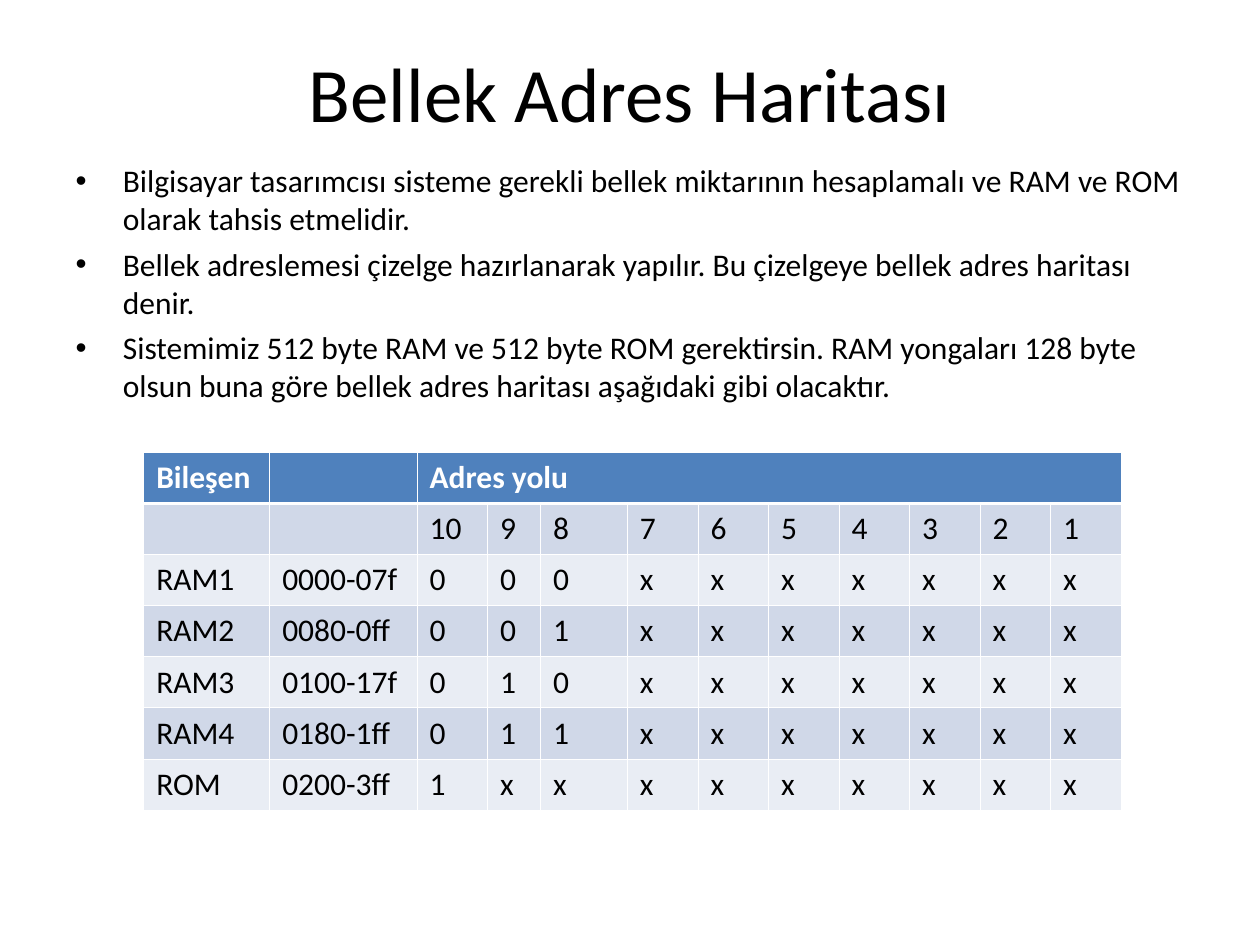
"""Build the slide on the memory address map."""
import pptx
import pptx.dml.color
import pptx.enum.text
import pptx.oxml
import pptx.oxml.ns
import pptx.util

Inches = pptx.util.Inches
Pt = pptx.util.Pt
RGBColor = pptx.dml.color.RGBColor
Align = pptx.enum.text.PP_ALIGN
Anchor = pptx.enum.text.MSO_ANCHOR

TITLE = "Bellek Adres Haritası"
BULLETS = [
    "Bilgisayar tasarımcısı sisteme gerekli bellek miktarının hesaplamalı ve RAM ve ROM olarak tahsis etmelidir.",
    "Bellek adreslemesi çizelge hazırlanarak yapılır. Bu çizelgeye bellek adres haritası denir.",
    "Sistemimiz 512 byte RAM ve 512 byte ROM gerektirsin. RAM yongaları 128 byte olsun buna göre "
    "bellek adres haritası aşağıdaki gibi olacaktır.",
]
ADDRESS_BITS = [str(bit) for bit in range(10, 0, -1)]
COMPONENTS = [
    ("RAM1", "0000-07f", "000xxxxxxx"),
    ("RAM2", "0080-0ff", "001xxxxxxx"),
    ("RAM3", "0100-17f", "010xxxxxxx"),
    ("RAM4", "0180-1ff", "011xxxxxxx"),
    ("ROM", "0200-3ff", "1xxxxxxxxx"),
]
HEADER = ["Bileşen", "", "Adres yolu"] + [""] * 9
ROWS = [HEADER, ["", ""] + ADDRESS_BITS]
ROWS += [[name, span_range, *bits] for name, span_range, bits in COMPONENTS]
COLUMN_WIDTHS = [1, 1.17, 0.56, 0.42, 0.69] + [0.56] * 7
TABLE_HEIGHT = 2.84

FONT = "Calibri"
BLACK = RGBColor(0x00, 0x00, 0x00)
WHITE = RGBColor(0xFF, 0xFF, 0xFF)
HEADER_BLUE = RGBColor(0x4F, 0x81, 0xBD)
BANDS = [RGBColor(0xE9, 0xED, 0xF4), RGBColor(0xD0, 0xD8, 0xE8)]


def write(frame, texts, size=18, color=BLACK, bold=False, align=Align.LEFT, anchor=Anchor.TOP, gap=0):
    frame.word_wrap = True
    frame.vertical_anchor = anchor
    for index, text in enumerate(texts):
        paragraph = frame.paragraphs[0] if index == 0 else frame.add_paragraph()
        paragraph.alignment = align
        paragraph.space_before = Pt(gap if index else 0)
        span = paragraph.add_run()
        span.text = text
        span.font.name = FONT
        span.font.size = Pt(size)
        span.font.bold = bold
        span.font.color.rgb = color


def place(box, left, top, width, height):
    box.left, box.top = Inches(left), Inches(top)
    box.width, box.height = Inches(width), Inches(height)
    box.text_frame.auto_size = pptx.enum.text.MSO_AUTO_SIZE.NONE


def set_borders(cell, **widths):
    properties = cell._tc.get_or_add_tcPr()
    for side in "LRTB":
        width = Pt(widths.get(side, 0.45))
        properties.append(pptx.oxml.parse_xml(
            f'<a:ln{side} {pptx.oxml.ns.nsdecls("a")} w="{width}">'
            f'<a:solidFill><a:srgbClr val="{WHITE}"/></a:solidFill></a:ln{side}>'
        ))


def add_address_table(page):
    frame = page.shapes.add_table(
        len(ROWS), len(COLUMN_WIDTHS), Inches(1.14), Inches(3.59),
        Inches(sum(COLUMN_WIDTHS)), Inches(TABLE_HEIGHT),
    )
    table = frame.table
    table.horz_banding = False
    table.first_row = False
    for column, width in zip(table.columns, COLUMN_WIDTHS):
        column.width = Inches(width)
    for row_index, texts in enumerate(ROWS):
        table.rows[row_index].height = Inches(TABLE_HEIGHT / len(ROWS))
        is_header = row_index == 0
        heavy_rule = {0: {"B": 1.47}, 1: {"T": 1.47}}.get(row_index, {})
        for column_index, text in enumerate(texts):
            cell = table.cell(row_index, column_index)
            set_borders(cell, **heavy_rule)
            cell.fill.solid()
            cell.fill.fore_color.rgb = HEADER_BLUE if is_header else BANDS[row_index % 2]
            if text:
                write(cell.text_frame, [text], color=WHITE if is_header else BLACK, bold=is_header)
    table.cell(0, 2).merge(table.cell(0, len(COLUMN_WIDTHS) - 1))


def main():
    deck = pptx.Presentation()
    deck.slide_width, deck.slide_height = Inches(10), Inches(7.5)
    page = deck.slides.add_slide(deck.slide_layouts[1])
    title, body = page.placeholders
    place(title, 0.5, 0.3, 9, 0.85)
    write(title.text_frame, [TITLE], size=44, align=Align.CENTER, anchor=Anchor.MIDDLE)
    place(body, 0.5, 1.23, 9, 5.47)
    write(body.text_frame, BULLETS, gap=4.5)
    add_address_table(page)
    deck.save("out.pptx")


if __name__ == "__main__":
    main()
